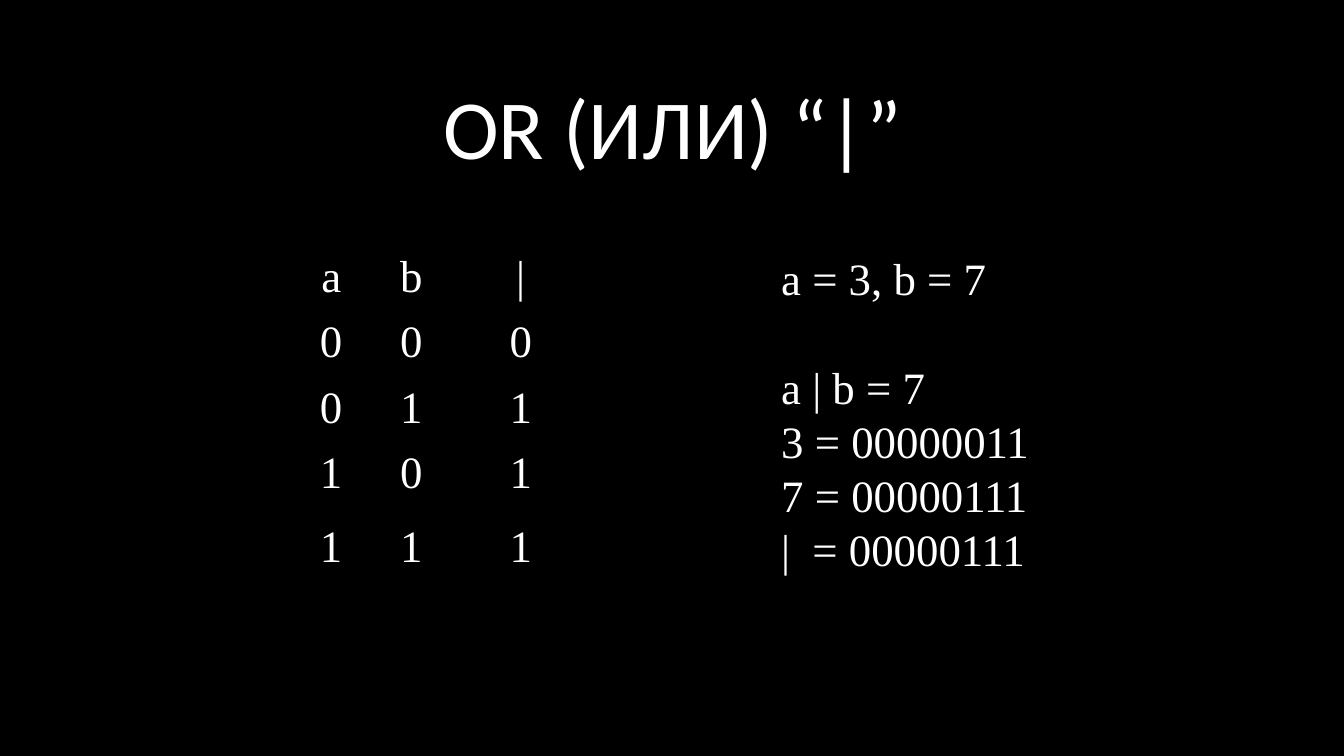
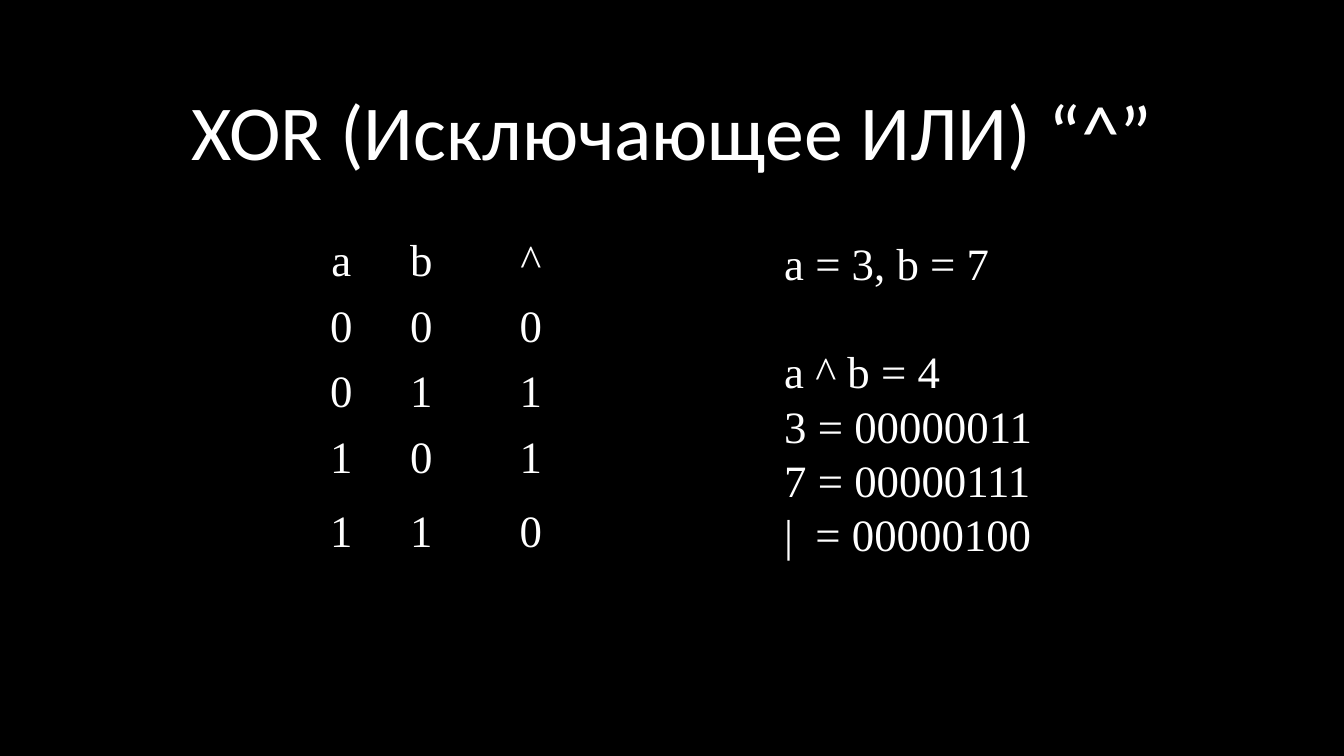
import itertools

import lxml.etree
import pptx
import pptx.dml.color
import pptx.enum.text
import pptx.oxml.ns
import pptx.util

Inches = pptx.util.Inches
Pt = pptx.util.Pt

COLORS = {"background": "000000", "text": "FFFFFF"}
TITLE_FONT = "Calibri"
BODY_FONT = "Times New Roman"
BODY_SIZE = 32
LINE_HEIGHT = 38.6
RESULT_TAB = 0.31
COLUMN_WIDTHS = [0.75, 0.84, 1.33]
ROW_HEIGHTS = [0.65, 0.65, 0.65, 0.73, 0.65]
PLAIN_TABLE_STYLE = "{2D5ABB26-0587-4C30-8999-92F81FD0307C}"


def color(name):
    return pptx.dml.color.RGBColor.from_string(COLORS[name])


class Deck:
    def __init__(self):
        self.presentation = pptx.Presentation()
        self.presentation.slide_width = Inches(13.33)
        self.presentation.slide_height = Inches(7.5)
        fill = self.presentation.slide_master.background.fill
        fill.solid()
        fill.fore_color.rgb = color("background")
        self.slide = None

    def style(self, paragraph, font_name, size, alignment):
        paragraph.alignment = alignment
        paragraph.font.name = font_name
        paragraph.font.size = Pt(size)
        paragraph.font.color.rgb = color("text")

    def add_slide(self, title, size):
        layout = self.presentation.slide_layouts.get_by_name("Title Only")
        self.slide = self.presentation.slides.add_slide(layout)
        shape = self.slide.shapes.title
        shape.left, shape.top = Inches(1.74), Inches(0.54)
        shape.width, shape.height = Inches(9.86), Inches(1.27)
        frame = shape.text_frame
        frame.text = title
        frame.auto_size = pptx.enum.text.MSO_AUTO_SIZE.NONE
        frame.vertical_anchor = pptx.enum.text.MSO_ANCHOR.BOTTOM
        paragraph = frame.paragraphs[0]
        paragraph.line_spacing = 0.9
        self.style(paragraph, TITLE_FONT, size, pptx.enum.text.PP_ALIGN.CENTER)

    def add_truth_table(self, left, top, symbol, operation):
        rows = [("a", "b", symbol)]
        rows += [(a, b, operation(a, b)) for a, b in itertools.product((0, 1), repeat=2)]
        table = self.slide.shapes.add_table(
            len(rows), len(COLUMN_WIDTHS), Inches(left), Inches(top),
            Inches(sum(COLUMN_WIDTHS)), Inches(sum(ROW_HEIGHTS))).table
        table.first_row = table.horz_banding = False
        table._tbl.tblPr.find(pptx.oxml.ns.qn("a:tableStyleId")).text = PLAIN_TABLE_STYLE
        for column, width in zip(table.columns, COLUMN_WIDTHS):
            column.width = Inches(width)
        for row, height, values in zip(table.rows, ROW_HEIGHTS, rows):
            row.height = Inches(height)
            for cell, value in zip(row.cells, values):
                cell.fill.background()
                cell.text = str(value)
                self.style(cell.text_frame.paragraphs[0], BODY_FONT, BODY_SIZE,
                           pptx.enum.text.PP_ALIGN.CENTER)

    def add_tab(self, paragraph, position):
        properties = paragraph._p.get_or_add_pPr()
        tabs = lxml.etree.SubElement(properties, pptx.oxml.ns.qn("a:tabLst"))
        lxml.etree.SubElement(tabs, pptx.oxml.ns.qn("a:tab"),
                              pos=str(Inches(position)), algn="l")

    def add_example(self, left, top, width, symbol, operation, a=3, b=7):
        result = operation(a, b)
        lines = [f"a = {a}, b = {b}", f"a {symbol} b = {result}",
                 f"{a} = {a:08b}", f"{b} = {b:08b}", f"|\t= {result:08b}"]
        box = self.slide.shapes.add_textbox(
            Inches(left), Inches(top), Inches(width), Inches(3.33))
        frame = box.text_frame
        frame.word_wrap = True
        frame.text = "\n".join(lines)
        for paragraph in frame.paragraphs:
            paragraph.line_spacing = Pt(LINE_HEIGHT)
        frame.paragraphs[1].space_before = Pt(LINE_HEIGHT)
        self.add_tab(frame.paragraphs[-1], RESULT_TAB)
        for paragraph in frame.paragraphs:
            self.style(paragraph, BODY_FONT, BODY_SIZE, pptx.enum.text.PP_ALIGN.LEFT)


def main():
    deck = Deck()

    def bitwise_or(a, b):
        return a | b

    def bitwise_xor(a, b):
        return a ^ b

    deck.add_slide("OR (ИЛИ) “|”", 60)
    deck.add_example(7.65, 2.44, 2.77, "|", bitwise_or)
    deck.add_truth_table(2.91, 2.45, "|", bitwise_or)

    deck.add_slide("XOR (Исключающее ИЛИ) “^”", 55.5)
    deck.add_example(7.68, 2.29, 3.23, "^", bitwise_xor)
    deck.add_truth_table(3.01, 2.3, "^", bitwise_xor)

    deck.presentation.save("out.pptx")


if __name__ == "__main__":
    main()
